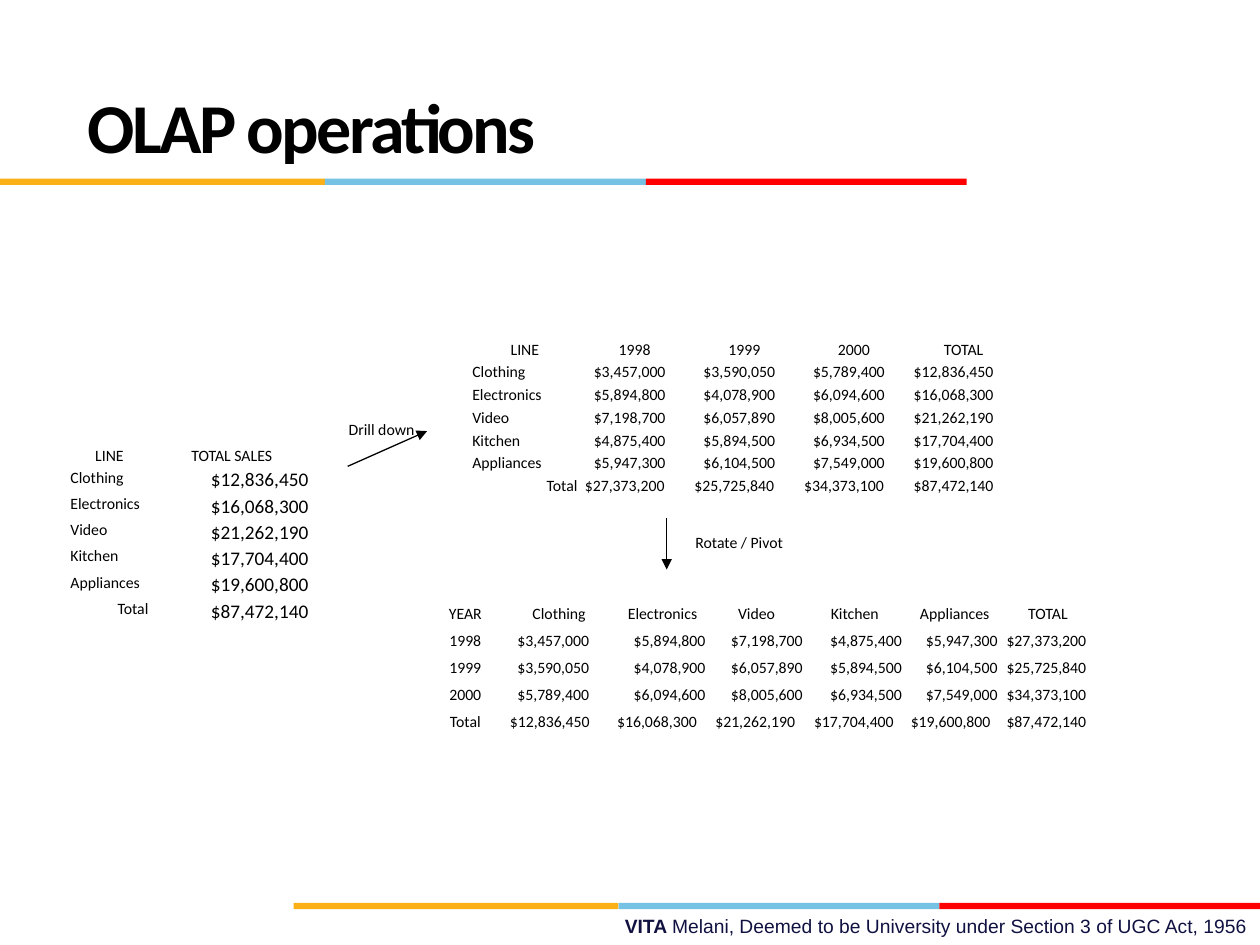
from lxml import etree
from pptx import Presentation
from pptx.dml.color import RGBColor
from pptx.enum.shapes import MSO_CONNECTOR, MSO_SHAPE
from pptx.enum.text import MSO_ANCHOR, MSO_AUTO_SIZE, PP_ALIGN
from pptx.oxml.ns import qn
from pptx.util import Cm, Pt

LEFT, MID, RIGHT, JUST = (PP_ALIGN.LEFT, PP_ALIGN.CENTER,
                          PP_ALIGN.RIGHT, PP_ALIGN.JUSTIFY)
TOP, MIDDLE = MSO_ANCHOR.TOP, MSO_ANCHOR.MIDDLE
GROW, FIXED = MSO_AUTO_SIZE.SHAPE_TO_FIT_TEXT, MSO_AUTO_SIZE.NONE
RECT, LINE = MSO_SHAPE.RECTANGLE, MSO_CONNECTOR.STRAIGHT
COLORS = {"ink": "000000", "paper": "FFFFFF", "gold": "FCB017",
          "sky": "76C2E5", "red": "FF0000", "navy": "101141"}


def color(name):
    return RGBColor.from_string(COLORS[name])


class Page:
    font = "Calibri"
    small = 9

    def __init__(self, slide):
        self.slide = slide
        self.shapes = slide.shapes

    def bar(self, x, y, w, h, fill):
        bar = self.shapes.add_shape(RECT, Cm(x), Cm(y), Cm(w), Cm(h))
        bar.shadow.inherit = False
        bar.fill.solid()
        bar.fill.fore_color.rgb = color(fill)
        bar.line.fill.background()

    def run(self, para, text, size=small, bold=False, ink="ink", font=font):
        run = para.add_run()
        run.text = text
        run.font.size = Pt(size)
        run.font.name = font
        run.font.bold = bold
        run.font.color.rgb = color(ink)
        return run

    def box(self, x, y, w, h, wrap=False, fit=GROW, anchor=TOP, align=LEFT):
        frame = self.shapes.add_textbox(Cm(x), Cm(y), Cm(w), Cm(h)).text_frame
        frame.word_wrap = wrap
        frame.auto_size = fit
        frame.vertical_anchor = anchor
        para = frame.paragraphs[0]
        para.alignment = align
        return para

    def arrow(self, x1, y1, x2, y2):
        line = self.shapes.add_connector(LINE, Cm(x1), Cm(y1), Cm(x2), Cm(y2))
        line.line.color.rgb = color("ink")
        line.line.width = Pt(0.75)
        etree.SubElement(line.line._get_or_add_ln(), qn("a:tailEnd"), type="triangle")
        etree.SubElement(line._element.spPr, qn("a:effectLst"))

    def table(self, x, y, cols, highs, rows, pads, rule):
        """rule(row, col, text) gives alignment, indent and text size."""
        grid = self.shapes.add_table(len(rows), len(cols), Cm(x), Cm(y),
                                     Cm(sum(cols)), Cm(sum(highs))).table
        grid.horz_banding = False
        for col, wide in zip(grid.columns, cols):
            col.width = Cm(wide)
        for r, (row, high) in enumerate(zip(rows, highs)):
            grid.rows[r].height = Cm(high)
            for c, text in enumerate(row):
                self.cell(grid.cell(r, c), text, pads, *rule(r, c, text))

    def cell(self, cell, text, pads, align, indent, size):
        cell.margin_left, cell.margin_top, cell.margin_right = map(Cm, pads)
        cell.margin_bottom = 0
        cell.fill.solid()
        cell.fill.fore_color.rgb = color("paper")
        para = cell.text_frame.paragraphs[0]
        para.alignment = align
        para.line_spacing = 1.07
        if indent:
            props = para._p.get_or_add_pPr()
            props.set("marL", str(Cm(indent)))
            props.set("indent", "0")
        self.run(para, text, size)


# Sales by year and line; totals are derived
LINES = ["Clothing", "Electronics", "Video", "Kitchen", "Appliances"]
SALES = {
    "1998": [3457000, 5894800, 7198700, 4875400, 5947300],
    "1999": [3590050, 4078900, 6057890, 5894500, 6104500],
    "2000": [5789400, 6094600, 8005600, 6934500, 7549000],
}
sums = [sum(line) for line in zip(*SALES.values())]
full = {**SALES, "Total": sums}
by_year = [["YEAR", *LINES, "TOTAL"]]
by_year += [[year, *(f"${n:,}" for n in [*nums, sum(nums)])]
            for year, nums in full.items()]
by_line = [list(row) for row in zip(*by_year)]
by_line[0] = ["LINE", *SALES, "TOTAL"]
for row in by_line[1:]:
    row[1:] = row[1:]
by_line[-1][0] = "Total"
brief = [[row[0], row[-1]] for row in by_line]
brief[0][1] = "TOTAL SALES"


def year_rule(r, c, text):
    if r == 0:
        return MID, {2: 0.13, 5: 0.1}.get(c, 0), 9
    if c == 0:
        return MID, 0, 9
    if c == 6:
        return JUST, 0.08, 9
    if r == 4:
        return (LEFT if c > 1 else JUST), [0, 0.08, 0.1, 0.13, 0.08][c - 1], 9
    return (LEFT, 0.15, 9) if c == 1 else (RIGHT, 0, 9)


def line_rule(r, c, text):
    if r == 0:
        return MID, 0, 9
    if c == 0:
        return (RIGHT if text == "Total" else LEFT), 0, 9
    return (JUST, 0.05, 9) if len(text) > 10 else (LEFT, 0.23, 9)


def brief_rule(r, c, text):
    if r == 0:
        return MID, 0, 9
    if c == 1:
        return RIGHT, 0, 11
    return (RIGHT if text == "Total" else LEFT), 0, 9


deck = Presentation()
deck.slide_width, deck.slide_height = Cm(25.4), Cm(19.05)
page = Page(deck.slides.add_slide(deck.slide_layouts[6]))

# Colour bands under the title and above the footer
for x, y in ((0, 3.6), (5.92, 18.2)):
    for fill, wide in (("gold", 6.55), ("sky", 6.47), ("red", 6.47)):
        page.bar(x, y, wide, 0.13, fill)
        x += wide

# Footer
foot = page.box(9.1, 18.31, 16.3, 0.74, wrap=True, align=RIGHT)
page.run(foot, "VITA ", 11, True, "navy", "Arial")
page.run(foot, "Melani, Deemed to be University under Section 3 of UGC Act, 1956",
         11, False, "navy", "Arial")

# Title
head = page.box(1.52, 1.14, 21.9, 2.77, wrap=True, fit=FIXED, anchor=MIDDLE)
title = page.run(head, "OLAP operations", 40, True)
title.font._element.set("spc", "-150")

# Tables
page.table(8.53, 12.12, [1.7, 2.08, 1.96, 1.96, 2, 1.93, 1.93], [0.54] * 5,
           by_year, (0.05, 0.05, 0.05), year_rule)
page.table(9.47, 6.78, [2.22] + [2.21] * 4, [0.44] * 7,
           by_line, (0.05, 0.05, 0.05), line_rule)
page.table(1.37, 8.94, [1.7, 3.23], [0.44] + [0.5] * 6,
           brief, (0.05, 0.03, 0.08), brief_rule)

# Operations
page.arrow(7.01, 9.4, 8.61, 8.69)
page.run(page.box(6.78, 8.33, 1.85, 0.64), "Drill down")
page.arrow(13.44, 10.44, 13.44, 11.48)
page.run(page.box(13.77, 10.62, 2.31, 0.64), "Rotate / Pivot")

deck.save("out.pptx")
